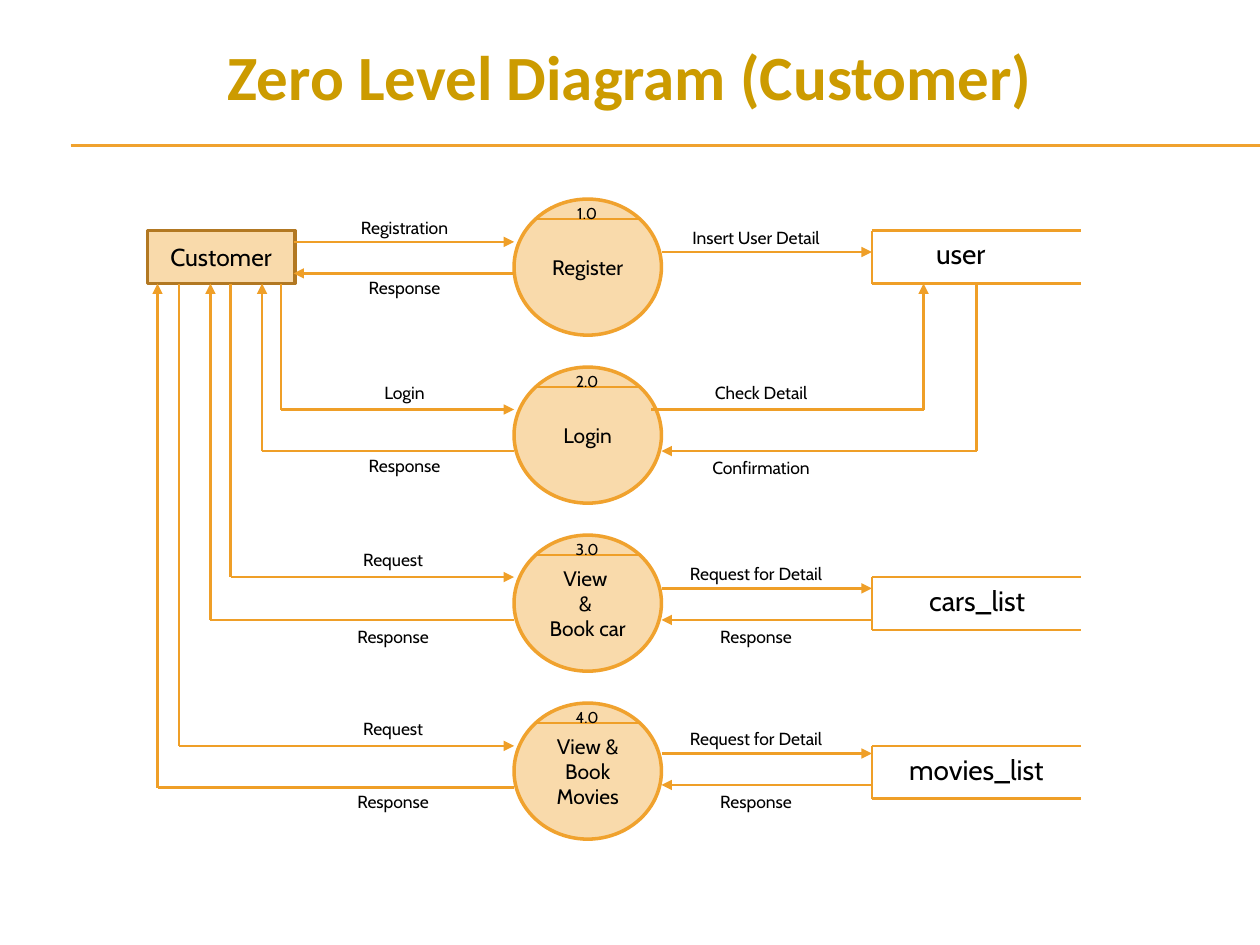
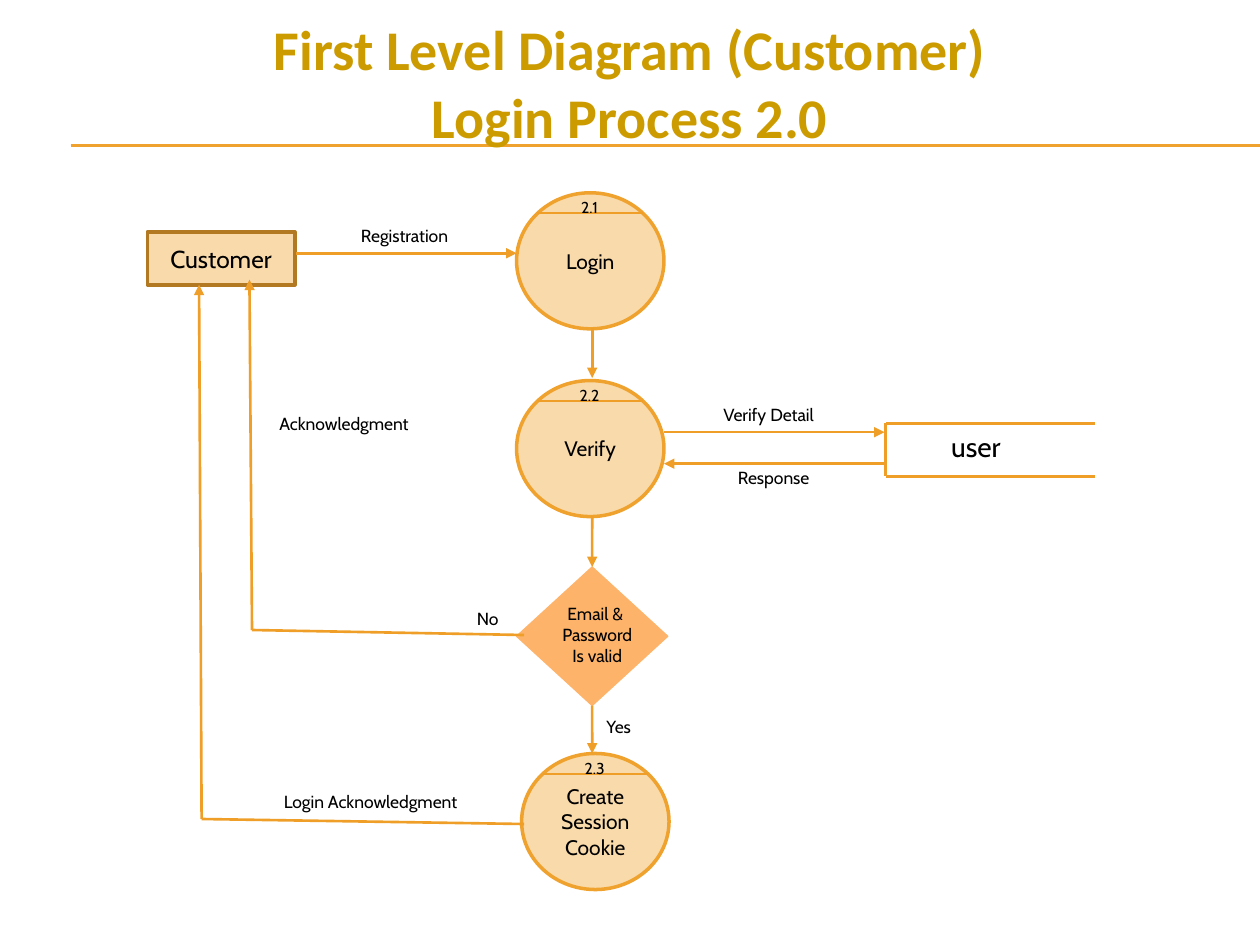
from itertools import pairwise

from pptx import Presentation
from pptx.dml.color import RGBColor
from pptx.enum.shapes import MSO_CONNECTOR, MSO_SHAPE
from pptx.enum.text import MSO_ANCHOR, PP_ALIGN
from pptx.oxml.ns import qn
from pptx.oxml.xmlchemy import OxmlElement
from pptx.util import Inches, Pt

STRAIGHT = MSO_CONNECTOR.STRAIGHT
RECTANGLE, OVAL = MSO_SHAPE.RECTANGLE, MSO_SHAPE.OVAL
DECISION = MSO_SHAPE.FLOWCHART_DECISION
CENTER = PP_ALIGN.CENTER
TOP, MIDDLE = MSO_ANCHOR.TOP, MSO_ANCHOR.MIDDLE

GOLD = RGBColor(0xCC, 0x9B, 0x00)
ORANGE = RGBColor(0xF0, 0xA2, 0x2E)
FLOW_ORANGE = RGBColor(0xEF, 0x9F, 0x28)
CREAM = RGBColor(0xF9, 0xDA, 0xAB)
BROWN = RGBColor(0xB2, 0x78, 0x22)
PEACH = RGBColor(0xFD, 0xB4, 0x6A)
BLACK = RGBColor(0x00, 0x00, 0x00)

TITLE_FONT, BODY_FONT = "Calibri", "Cabin"
PROCESS_W, PROCESS_H = 1.17, 1.08
ENTITY_W, ENTITY_H = 1.17, 0.42
STORE_W, STORE_H = 1.66, 0.42
ROW_PITCH = 4 / 3

# processes: number, lines, left, top    stores: name, left, top, name left, name width
# flows: points, the arrowhead is at the last    labels: text, left, top, width
ZERO_LEVEL = {
    "title": ["Zero Level Diagram (Customer)"],
    "title_box": (1, 0.25, 8, 0.7),
    "title_size": 36,
    "customer_top": 1.83,
    "processes": [
        (f"{row + 1}.0", lines, 4.08, 1.58 + row * ROW_PITCH)
        for row, lines in enumerate([
            ["Register"],
            ["Login"],
            ["View ", "& ", "Book car"],
            ["View &", "Book Movies"],
        ])
    ],
    "stores": [
        ("user", 6.92, 1.83, 7.25, 0.75),
        ("cars_list", 6.92, 4.58, 7.17, 1.17),
        ("movies_list", 6.92, 5.92, 7, 1.5),
    ],
    "flows": [
        [(2.33, 1.92), (4.08, 1.92)],
        [(4.08, 2.17), (2.33, 2.17)],
        [(5.25, 2), (6.92, 2)],
        [(2.23, 2.25), (2.23, 3.25), (4.08, 3.25)],
        [(4.08, 3.58), (2.08, 3.58), (2.08, 2.25)],
        [(5.17, 3.25), (7.33, 3.25), (7.33, 2.25)],
        [(7.75, 2.25), (7.75, 3.58), (5.25, 3.58)],
        [(1.83, 2.25), (1.83, 4.58), (4.08, 4.58)],
        [(4.08, 4.92), (1.67, 4.92), (1.67, 2.25)],
        [(5.25, 4.67), (6.92, 4.67)],
        [(6.92, 4.92), (5.25, 4.92)],
        [(1.42, 2.25), (1.42, 5.92), (4.08, 5.92)],
        [(4.08, 6.25), (1.25, 6.25), (1.25, 2.25)],
        [(5.25, 5.98), (6.92, 5.98)],
        [(6.92, 6.23), (5.25, 6.23)],
    ],
    "labels": [
        ("Registration", 2.67, 1.67, 1.08),
        ("Response", 2.67, 2.15, 1.08),
        ("Insert User Detail", 5.25, 1.75, 1.5),
        ("Login", 2.67, 2.98, 1.08),
        ("Response", 2.67, 3.56, 1.08),
        ("Check Detail", 5.5, 2.98, 1.08),
        ("Confirmation", 5.5, 3.58, 1.08),
        ("Request", 2.58, 4.31, 1.08),
        ("Response", 2.58, 4.92, 1.08),
        ("Request for Detail", 5.25, 4.42, 1.5),
        ("Response", 5.25, 4.92, 1.5),
        ("Request", 2.58, 5.65, 1.08),
        ("Response", 2.58, 6.23, 1.08),
        ("Request for Detail", 5.25, 5.73, 1.5),
        ("Response", 5.25, 6.23, 1.5),
    ],
}

FIRST_LEVEL = {
    "title": ["First Level Diagram (Customer)", "Login Process 2.0"],
    "title_box": (1, 0.07, 8, 1.76),
    "title_size": 32,
    "customer_top": 1.84,
    "processes": [
        ("2.1", ["Login"], 4.1, 1.53),
        ("2.2", ["Verify"], 4.1, 3.02),
        ("2.3", ["Create", "Session", "Cookie"], 4.14, 5.98),
    ],
    "stores": [("user", 7.03, 3.36, 7.37, 0.75)],
    "flows": [
        [(2.35, 2.01), (4.1, 2.01)],
        [(4.7, 2.6), (4.7, 3)],
        [(5.27, 3.43), (7.02, 3.43)],
        [(7.02, 3.68), (5.27, 3.68)],
        [(4.16, 5.04), (2, 5), (1.98, 2.22)],
        [(4.16, 6.54), (1.6, 6.5), (1.58, 2.26)],
    ],
    "labels": [
        ("Registration", 2.67, 1.74, 1.08),
        ("Verify Detail", 5.4, 3.16, 1.4),
        ("Response", 5.5, 3.66, 1.28),
        ("No", 3.33, 4.78, 1.08),
        ("Acknowledgment", 2.08, 3.23, 1.3),
        ("Login Acknowledgment", 1.98, 6.23, 1.92),
        ("Yes", 4.52, 5.63, 0.78),
    ],
}

VALIDITY_CHECK = ["Email & ", "Password", "Is valid"]
CHECK_BOX = (4.1, 4.5, 1.2, 1.1)
CHECK_TEXT_BOX = (4.2, 4.74, 1.08, 0.6)
INTO_CHECK = [(4.7, 4.1), (4.7, 4.5)]
OUT_OF_CHECK = [(4.7, 5.6), (4.7, 5.98)]


def write(shape, lines, size, font=BODY_FONT, color=BLACK, bold=False, anchor=TOP):
    frame = shape.text_frame
    frame.word_wrap = True
    frame.vertical_anchor = anchor
    for index, line in enumerate(lines):
        paragraph = frame.paragraphs[0] if index == 0 else frame.add_paragraph()
        paragraph.alignment = CENTER
        run = paragraph.add_run()
        run.text = line
        run.font.name = font
        run.font.size = Pt(size)
        run.font.bold = bold
        run.font.color.rgb = color


def add_text(slide, lines, box, size, **style):
    write(slide.shapes.add_textbox(*map(Inches, box)), lines, size, **style)


def add_node(slide, kind, box, fill, outline, width):
    node = slide.shapes.add_shape(kind, *map(Inches, box))
    node.shadow.inherit = False
    node.fill.solid()
    node.fill.fore_color.rgb = fill
    node.line.color.rgb = outline
    node.line.width = Pt(width)
    return node


def add_line(slide, start, end, width=1.5, color=FLOW_ORANGE, arrow=False):
    line = slide.shapes.add_connector(STRAIGHT, *map(Inches, (*start, *end)))
    line.line.color.rgb = color
    line.line.width = Pt(width)
    properties = line.element.spPr
    if arrow:
        head = OxmlElement("a:tailEnd")
        head.set("type", "triangle")
        properties.find(qn("a:ln")).append(head)
    properties.append(OxmlElement("a:effectLst"))
    return line


def add_flow(slide, points):
    """Draw a run of straight lines with an arrowhead at the last point."""
    for start, end in pairwise(points):
        line = add_line(slide, start, end, arrow=end == points[-1])
    return line


def add_process(slide, number, lines, left, top):
    circle = add_node(slide, OVAL, (left, top, PROCESS_W, PROCESS_H), CREAM, ORANGE, 2)
    write(circle, lines, 12, anchor=MIDDLE)
    add_line(slide, (left + 0.17, top + 0.16), (left + 1, top + 0.16), width=1.25)
    add_text(slide, [number], (left + 0.33, top - 0.01, 0.5, 0.25), 9)


def add_store(slide, name, left, top, name_left, name_width):
    """Draw a data store: a name in a box that is open on the right."""
    bottom = top + STORE_H
    add_line(slide, (left, top), (left, bottom))
    for y in (top, bottom):
        add_line(slide, (left, y), (left + STORE_W, y))
    add_text(slide, [name], (name_left, top, name_width, 0.36), 16)


def add_diagram(prs, diagram):
    slide = prs.slides.add_slide(prs.slide_layouts[6])
    for y in (1.15, 1.16):
        add_line(slide, (0.56, y), (10, y), width=0.75, color=ORANGE)
    add_text(slide, diagram["title"], diagram["title_box"], diagram["title_size"],
             font=TITLE_FONT, color=GOLD, bold=True)
    customer = add_node(slide, RECTANGLE,
                        (1.17, diagram["customer_top"], ENTITY_W, ENTITY_H),
                        CREAM, BROWN, 2)
    write(customer, ["Customer"], 14, anchor=MIDDLE)
    for process in diagram["processes"]:
        add_process(slide, *process)
    for store in diagram["stores"]:
        add_store(slide, *store)
    for points in diagram["flows"]:
        add_flow(slide, points)
    for text, left, top, width in diagram["labels"]:
        add_text(slide, [text], (left, top, width, 0.27), 10)
    return slide


def add_validity_check(slide):
    check = add_node(slide, DECISION, CHECK_BOX, PEACH, PEACH, 0.75)
    # Keep the diamond behind the flow that leaves its left corner.
    tree = slide.shapes.element
    tree.remove(check.element)
    tree.insert(2, check.element)
    add_text(slide, VALIDITY_CHECK, CHECK_TEXT_BOX, 10)
    add_flow(slide, INTO_CHECK).end_connect(check, 0)
    add_flow(slide, OUT_OF_CHECK).begin_connect(check, 2)


def main():
    prs = Presentation()
    prs.slide_width, prs.slide_height = Inches(10), Inches(7.5)
    add_diagram(prs, ZERO_LEVEL)
    add_validity_check(add_diagram(prs, FIRST_LEVEL))
    prs.save("out.pptx")


if __name__ == "__main__":
    main()
